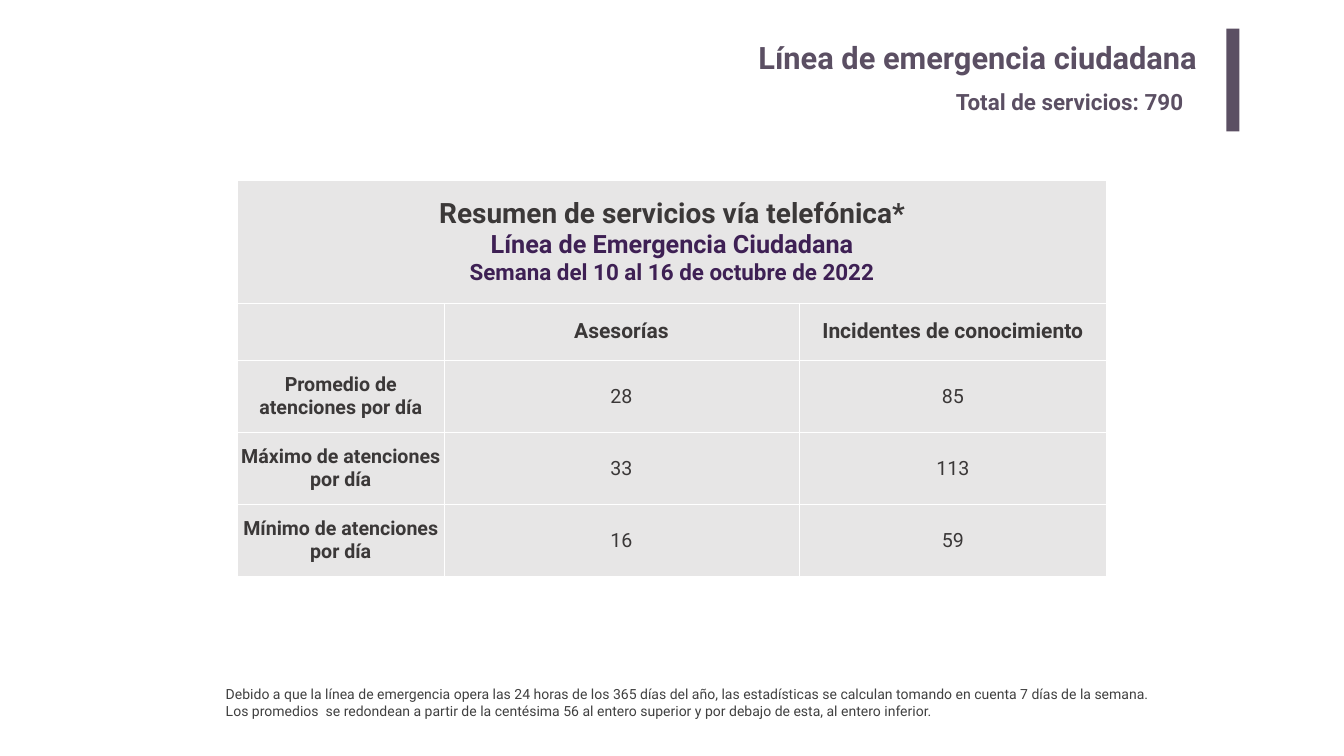
"""Builds the weekly summary slide of the emergency telephone line."""
from lxml import etree
from pptx import Presentation
from pptx.dml.color import RGBColor
from pptx.enum import shapes, text
from pptx.oxml import parse_xml
from pptx.util import Pt

PLUM, PURPLE, DARK, GREY = "5B4F63", "3E2054", "3B3838", "E7E6E6"
CENTER, RIGHT, LEFT = text.PP_ALIGN.CENTER, text.PP_ALIGN.RIGHT, text.PP_ALIGN.LEFT
DRAWING = "http://schemas.openxmlformats.org/drawingml/2006/main"


def color(code):
    return RGBColor.from_string(code)


def write(frame, lines, align):
    frame.word_wrap = True
    for index, (words, size, code, bold) in enumerate(lines):
        line = frame.add_paragraph() if index else frame.paragraphs[0]
        line.text = words
        line.alignment = align
        line.font.name = "Roboto"
        line.font.size = Pt(size)
        line.font.bold = bold
        line.font.color.rgb = color(code)


deck = Presentation()
deck.slide_width, deck.slide_height = Pt(1920), Pt(1080)
slide = deck.slides.add_slide(deck.slide_layouts[6])

widths = [295.2, 506.9, 439.9]
heights = [175.7, 82.1, 103, 103, 103]
summary = slide.shapes.add_table(
    len(heights), len(widths), Pt(339.1), Pt(257), Pt(sum(widths)), Pt(sum(heights))
).table
for column, width in zip(summary.columns, widths):
    column.width = Pt(width)
for row, height in zip(summary.rows, heights):
    row.height = Pt(height)

heading = [
    ("Resumen de servicios vía telefónica*", 40, DARK, True),
    ("Línea de Emergencia Ciudadana", 36, PURPLE, True),
    ("Semana del 10 al 16 de octubre de 2022", 32, PURPLE, True),
]
services = [
    ("", "Asesorías", "Incidentes de conocimiento"),
    ("Promedio de atenciones por día", "28", "85"),
    ("Máximo de atenciones por día", "33", "113"),
    ("Mínimo de atenciones por día", "16", "59"),
]
summary.cell(0, 0).merge(summary.cell(0, 2))
write(summary.cell(0, 0).text_frame, heading, CENTER)
for r, values in enumerate(services, 1):
    for c, value in enumerate(values):
        size = 30 if r == 1 else 28
        line = (value, size, DARK, r == 1 or c == 0)
        write(summary.cell(r, c).text_frame, [line], CENTER)

for cell in summary.iter_cells():
    cell.fill.solid()
    cell.fill.fore_color.rgb = color(GREY)
    cell.vertical_anchor = text.MSO_ANCHOR.MIDDLE
    cell.margin_left = cell.margin_right = cell.margin_top = cell.margin_bottom = 0
    for order, side in enumerate(("lnL", "lnR", "lnT", "lnB")):
        border = parse_xml(
            f'<a:{side} xmlns:a="{DRAWING}" w="12700"><a:solidFill>'
            f'<a:srgbClr val="FFFFFF"/></a:solidFill></a:{side}>'
        )
        cell._tc.tcPr.insert(order, border)

accent = slide.shapes.add_shape(
    shapes.MSO_SHAPE.RECTANGLE, Pt(1751.8), Pt(41), Pt(18.7), Pt(146.9)
)
accent.shadow.inherit = False
accent.fill.solid()
accent.fill.fore_color.rgb = color(PLUM)
accent.line.fill.background()

notes = [
    "Debido a que la línea de emergencia opera las 24 horas de los 365 días del año, "
    "las estadísticas se calculan tomando en cuenta 7 días de la semana.",
    "Los promedios  se redondean a partir de la centésima 56 al entero superior "
    "y por debajo de esta, al entero inferior.",
]
captions = [
    ((263.5, 48.2, 1461.6, 73.4), (14.4, 7.2), RIGHT,
     [("Línea de emergencia ciudadana", 44, PLUM, True)]),
    ((1358.6, 121.7, 365.8, 46.1), (7.2, 3.6), LEFT,
     [("Total de servicios: 790", 32, PLUM, True)]),
    ((315.4, 975.6, 1358.6, 55.4), (7.2, 3.6), LEFT,
     [(note, 20, "404040", False) for note in notes]),
]
for place, (side, edge), align, lines in captions:
    frame = slide.shapes.add_textbox(*map(Pt, place)).text_frame
    frame.margin_left = frame.margin_right = Pt(side)
    frame.margin_top = frame.margin_bottom = Pt(edge)
    write(frame, lines, align)

deck.save("out.pptx")
